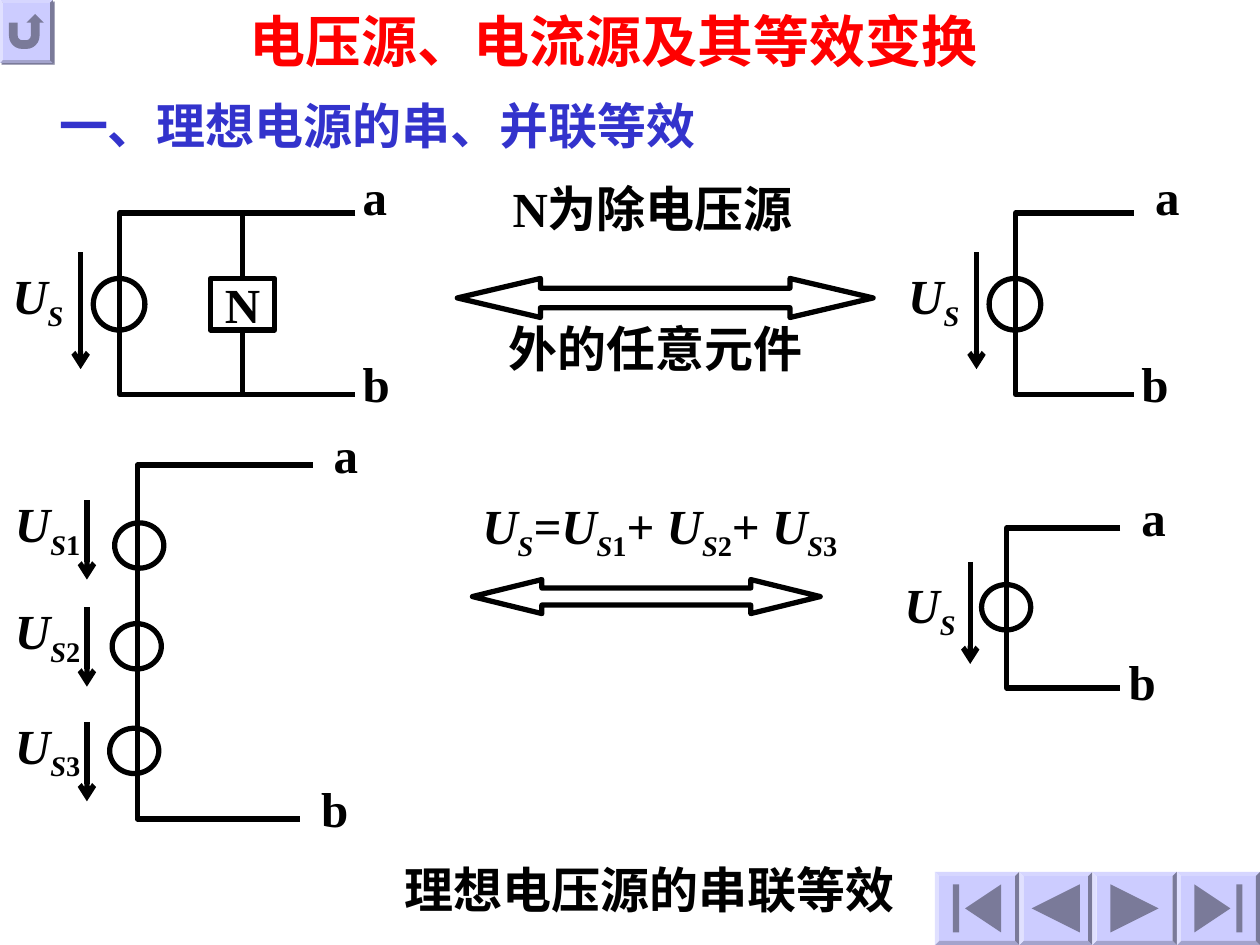
from dataclasses import dataclass

import pptx
import pptx.dml.color
import pptx.enum.shapes
import pptx.enum.text
import pptx.oxml
import pptx.oxml.ns
import pptx.util

Inches = pptx.util.Inches
Shape = pptx.enum.shapes.MSO_SHAPE
Align = pptx.enum.text.PP_ALIGN


@dataclass(frozen=True)
class Theme:
    font: str = "Times New Roman"
    title_size: int = 32
    body_size: int = 28
    title: str = "FF0000"
    heading: str = "3333CC"
    ink: str = "000000"
    button: str = "CCCCFF"
    button_shadow: str = "7A7A99"
    line_width: int = 3


@dataclass(frozen=True)
class Source:
    """A voltage source; every position is relative to the circuit's corner."""
    subscript: str
    circle: tuple
    arrow: tuple  # x, top, bottom
    label: tuple


THEME = Theme()


def color(value):
    return pptx.dml.color.RGBColor.from_string(value)


def ink_line(line):
    line.color.rgb = color(THEME.ink)
    line.width = pptx.util.Pt(THEME.line_width)


def drawing_element(tag, attributes=""):
    return pptx.oxml.parse_xml(f'<a:{tag} {pptx.oxml.ns.nsdecls("a")} {attributes}/>')


def outline(shape):
    shape.shadow.inherit = False
    shape.fill.background()
    ink_line(shape.line)


def add_outline(shapes, preset, box):
    shape = shapes.add_shape(preset, *map(Inches, box))
    outline(shape)
    return shape


def add_line(shapes, start, end, arrow=False):
    line = shapes.add_connector(pptx.enum.shapes.MSO_CONNECTOR.STRAIGHT,
                                *map(Inches, start + end))
    ink_line(line.line)
    if arrow:
        line.line._get_or_add_ln().append(drawing_element("tailEnd", 'type="arrow"'))
    line._element.spPr.append(drawing_element("effectLst"))


def write(frame, runs, size=THEME.body_size, ink=THEME.ink, align=Align.LEFT):
    """Add runs of (text, style); in style, i is italic and s is subscript."""
    paragraph = frame.paragraphs[0]
    paragraph.alignment = align
    for text, style in runs:
        run = paragraph.add_run()
        run.text = text
        run.font.name = THEME.font
        run.font.size = pptx.util.Pt(size)
        run.font.bold = True
        run.font.italic = "i" in style
        run.font.color.rgb = color(ink)
        if "s" in style:
            run._r.get_or_add_rPr().set("baseline", "-25000")


def add_text(shapes, box, runs, wrap=False, **style):
    frame = shapes.add_textbox(*map(Inches, box)).text_frame
    frame.word_wrap = wrap
    write(frame, runs, **style)


def voltage(subscript):
    runs = [("U", "i"), ("S", "is")]
    return runs + [(subscript, "s")] if subscript else runs


def add_circuit(shapes, box, sources, a, b, bottom_width=None):
    """Draw an open loop with sources on its left side; a and b are label offsets
    from the ends of the top and bottom wires."""
    left, top, width, height = box
    right, bottom = left + width, top + height
    bottom_right = left + (bottom_width or width)
    builder = shapes.build_freeform(Inches(right), Inches(top), scale=1.0)
    corners = [(left, top), (left, bottom), (bottom_right, bottom)]
    builder.add_line_segments([(Inches(x), Inches(y)) for x, y in corners], close=False)
    outline(builder.convert_to_shape())

    for source in sources:
        x, y, circle_width, circle_height = source.circle
        add_outline(shapes, Shape.OVAL, (left + x, top + y, circle_width, circle_height))
        x, start, end = source.arrow
        add_line(shapes, (left + x, top + start), (left + x, top + end), arrow=True)
        x, y = source.label
        add_text(shapes, (left + x, top + y, 0.72, 0.63), voltage(source.subscript))

    add_text(shapes, (right + a[0], top + a[1], 0.39, 0.57), [("a", "")])
    add_text(shapes, (bottom_right + b[0], bottom + b[1], 0.41, 0.57), [("b", "")])


def add_element_n(shapes, box):
    """Place element N between the top and bottom wires of the box."""
    left, top, width, height = box
    middle = left + width / 2
    body_top, body_height = top + 0.52, 0.41
    body = add_outline(shapes, Shape.RECTANGLE, (left, body_top, width, body_height))
    body.text_frame.word_wrap = False
    body.text_frame.vertical_anchor = pptx.enum.text.MSO_ANCHOR.MIDDLE
    write(body.text_frame, [("N", "")], align=Align.CENTER)
    add_line(shapes, (middle, top), (middle, body_top))
    add_line(shapes, (middle, body_top + body_height), (middle, top + height))


def add_equivalence_arrow(shapes, box, head):
    arrow = add_outline(shapes, Shape.LEFT_RIGHT_ARROW, box)
    arrow.adjustments[0], arrow.adjustments[1] = 0.5, head


def add_parallel_row(shapes, left, top):
    """Show a source in parallel with N and its equivalent."""
    source = Source("", (-0.21, 0.52, 0.41, 0.41), (-0.31, 0.31, 1.24), (-0.95, 0.37))
    add_circuit(shapes, (left, top, 1.87, 1.44), [source], (-0.04, -0.42), (-0.04, -0.37))
    add_element_n(shapes, (left + 0.72, top, 0.51, 1.44))
    add_circuit(shapes, (left + 7.11, top, 0.94, 1.44), [source],
                (0.07, -0.42), (-0.04, -0.37))
    add_equivalence_arrow(shapes, (left + 2.68, top + 0.52, 3.3, 0.31), 2.13)
    add_text(shapes, (left + 3.02, top - 0.32, 2.9, 0.57), [("N为除电压源", "")])
    add_text(shapes, (left + 2.99, top + 0.79, 2.9, 0.57), [("外的任意元件", "")])


def add_series_row(shapes, left, top):
    """Show three sources in series and their equivalent."""
    positions = [(-0.18, 0.46, 0.28), (-0.2, 1.26, 1.13), (-0.22, 2.09, 2.04)]
    sources = [
        Source(str(number), (x, y, 0.39, 0.36), (-0.4, start, start + 0.63),
               (-1.07, start - 0.1))
        for number, (x, y, start) in enumerate(positions, 1)
    ]
    add_circuit(shapes, (left, top, 1.39, 2.81), sources,
                (0.07, -0.37), (0.07, -0.37), bottom_width=1.29)
    total = Source("", (-0.2, 0.45, 0.39, 0.36), (-0.29, 0.27, 1.08), (-0.91, 0.32))
    add_circuit(shapes, (left + 6.9, top + 0.5, 0.9, 1.27), [total],
                (0.07, -0.37), (-0.03, -0.34))
    add_equivalence_arrow(shapes, (left + 2.66, top + 0.91, 2.76, 0.27), 2.04)
    formula = (voltage("") + [("=", "i")] + voltage("1") + [("+ ", "")]
               + voltage("2") + [("+ ", "")] + voltage("3"))
    add_text(shapes, (left + 2.64, top + 0.19, 3.4, 0.63), formula, wrap=True)


def add_button(shapes, preset, box):
    """Set an action icon inside a bevelled frame and return the frame."""
    left, top, width, height = box
    edge = 0.06 * min(width, height)
    face = (left + edge, top + edge, width - 2 * edge, height - 2 * edge)
    frame, icon = [shapes.add_shape(kind, *map(Inches, area))
                   for kind, area in ((Shape.BEVEL, box), (preset, face))]
    frame.adjustments[0] = 0.06
    for part in (frame, icon):
        part.shadow.inherit = False
        part.fill.solid()
        part.fill.fore_color.rgb = color(THEME.button)
        part.line.fill.background()
    return frame


def add_navigation(shapes, left, top, height):
    presets = [Shape.ACTION_BUTTON_BEGINNING, Shape.ACTION_BUTTON_BACK_OR_PREVIOUS,
               Shape.ACTION_BUTTON_FORWARD_OR_NEXT, Shape.ACTION_BUTTON_END]
    for preset, width in zip(presets, (0.67, 0.58, 0.67, 0.66)):
        add_button(shapes, preset, (left, top, width, height))
        left += width


def add_return_button(shapes, box):
    frame = add_button(shapes, Shape.ACTION_BUTTON_RETURN, box)
    effects = frame._element.spPr.find(pptx.oxml.ns.qn("a:effectLst"))
    shadow = drawing_element("outerShdw", 'dist="17780" dir="2700000"')
    shadow.append(drawing_element("srgbClr", f'val="{THEME.button_shadow}"'))
    effects.append(shadow)


def main():
    presentation = pptx.Presentation()
    presentation.slide_width, presentation.slide_height = Inches(10), Inches(7.5)
    slide = presentation.slides.add_slide(presentation.slide_layouts[6])
    shapes = slide.shapes
    add_return_button(shapes, (0, 0, 0.42, 0.5))
    add_navigation(shapes, 7.42, 6.92, 0.58)
    add_text(shapes, (0.37, 0.71, 5.25, 0.57), [("一、理想电源的串、并联等效", "")],
             ink=THEME.heading)
    add_parallel_row(shapes.add_group_shape().shapes, 0.95, 1.69)
    add_text(shapes, (1.88, 0, 7.75, 0.64), [("电压源、电流源及其等效变换", "")],
             wrap=True, size=THEME.title_size, ink=THEME.title)
    add_series_row(shapes.add_group_shape().shapes, 1.09, 3.69)
    add_text(shapes, (1.13, 6.77, 8.05, 0.57), [("理想电压源的串联等效", "")],
             wrap=True, align=Align.CENTER)
    presentation.save("out.pptx")


if __name__ == "__main__":
    main()
